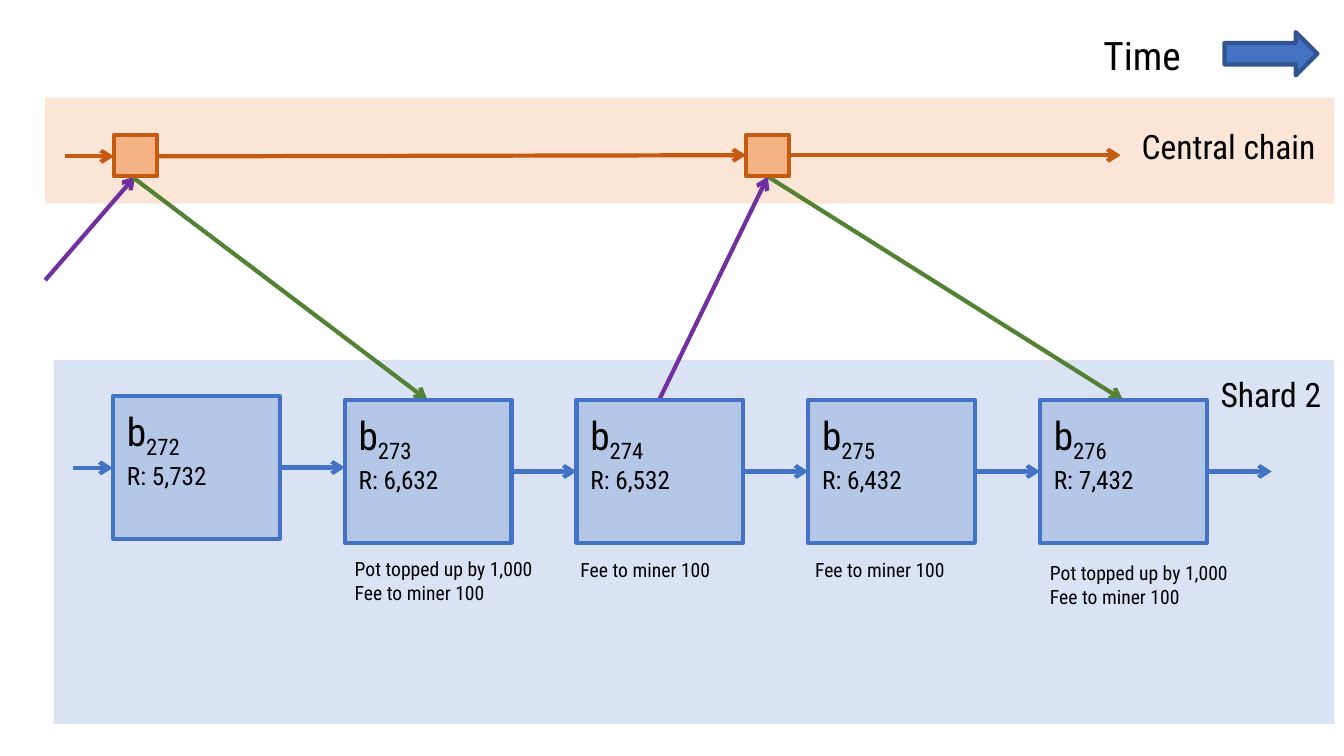
"""Draw a central chain and a shard chain with reward pots over time."""
from pptx import Presentation
from pptx.dml.color import RGBColor
from pptx.enum.shapes import MSO_CONNECTOR, MSO_SHAPE
from pptx.oxml.ns import qn
from pptx.util import Cm, Pt
from lxml.etree import SubElement

FONT = "Roboto Condensed"
HUES = {
    "peach": "FBE5D6", "pale": "DAE3F3", "node": "F4B183", "block": "B4C7E7",
    "rust": "C55A11", "blue": "4472C4", "navy": "325491",
    "green": "548235", "plum": "7030A0", "black": "000000",
}
HUES = {name: RGBColor.from_string(code) for name, code in HUES.items()}

deck = Presentation()
deck.slide_width, deck.slide_height = Cm(33.87), Cm(19.05)
slide = deck.slides.add_slide(deck.slide_layouts[6])


def draw(home, kind, box, fill, edge=None):
    shape = home.add_shape(kind, *map(Cm, box))
    shape.shadow.inherit = False
    shape.fill.solid()
    shape.fill.fore_color.rgb = HUES[fill]
    if edge:
        shape.line.color.rgb = HUES[edge]
        shape.line.width = Pt(3)
    else:
        shape.line.fill.background()


def link(home, ends, hue):
    line = home.add_connector(MSO_CONNECTOR.STRAIGHT, *map(Cm, ends))
    line.line.color.rgb = HUES[hue]
    line.line.width = Pt(3)
    SubElement(line.line._get_or_add_ln(), qn("a:tailEnd"), type="arrow")
    SubElement(line._element.spPr, qn("a:effectLst"))


rect = MSO_SHAPE.RECTANGLE
root = slide.shapes
draw(root, rect, (1.14, 2.46, 32.49, 2.67), "peach")
draw(root, rect, (1.35, 9.07, 32.28, 9.17), "pale")
draw(root, MSO_SHAPE.RIGHT_ARROW, (30.86, 0.81, 2.34, 1.09), "blue", "navy")

links = [
    ((19.35, 4.45, 28.3, 10.08), "green"),
    ((19.89, 3.91, 28.24, 3.91), "rust"),
    ((3.94, 3.94, 18.8, 3.91), "rust"),
    ((1.63, 3.94, 2.87, 3.94), "rust"),
    ((1.83, 11.79, 2.84, 11.79), "blue"),
    ((16.61, 10.08, 19.35, 4.45), "plum"),
    ((1.14, 7.06, 3.4, 4.45), "plum"),
    ((3.35, 4.47, 10.77, 10.08), "green"),
]
for ends, hue in links:
    link(root, ends, hue)

for left in (2.87, 18.8):
    draw(root, rect, (left, 3.4, 1.09, 1.04), "node", "rust")

fee = "Fee to miner 100"
topped = "Pot topped up by 1,000\n" + fee
texts = [
    (root, "Time", 28, (27.56, 0.66, 2.95, 1.45)),
    (root, "Central chain", 24, (28.52, 3.05, 7.67, 1.27)),
    (root, "Shard 2", 24, (30.51, 9.3, 12.01, 1.27)),
    (root, topped, 14, (8.69, 13.92, 5.69, 1.45)),
    (root, fee, 14, (14.38, 13.94, 5.69, 0.86)),
    (root, fee, 14, (20.29, 13.94, 5.69, 0.86)),
    (root, topped, 14, (26.21, 14.02, 5.69, 1.45)),
]

wide, high, step = 4.2, 3.6, 5.84
pots = ["5,732", "6,632", "6,532", "6,432", "7,432"]
for spot, pot in enumerate(pots):
    left = 2.85 + spot * step
    top = 10.08 if spot else 9.98
    mid = top + high / 2
    group = root.add_group_shape().shapes
    draw(group, rect, (left, top, wide, high), "block", "blue")
    link(group, (left + wide, mid, left + step, mid), "blue")
    words = f"b_{272 + spot}\nR: {pot}"
    texts.append((group, words, 18, (left + 0.1, top + 0.15, 3.78, 2.24)))

for home, words, size, box in texts:
    frame = home.add_textbox(*map(Cm, box)).text_frame
    frame.word_wrap = True
    frame.text = words
    for para in frame.paragraphs:
        base, mark, sub = para.text.partition("_")
        if mark:
            para.text = base
            low = para.add_run()
            low.text = sub
            low.font._element.set("baseline", "-25000")
        for run in para.runs:
            run.font.name = FONT
            run.font.size = Pt(28 if mark else size)
            run.font.color.rgb = HUES["black"]

deck.save("out.pptx")
